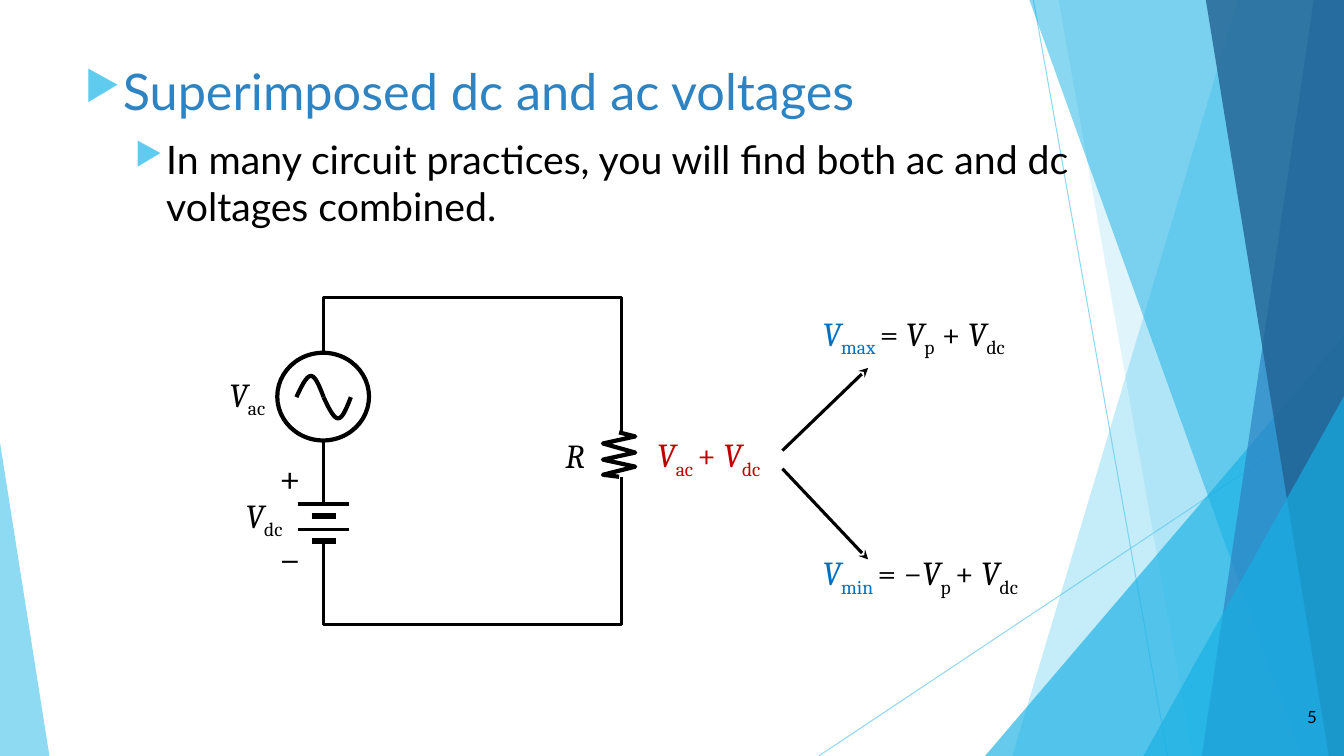
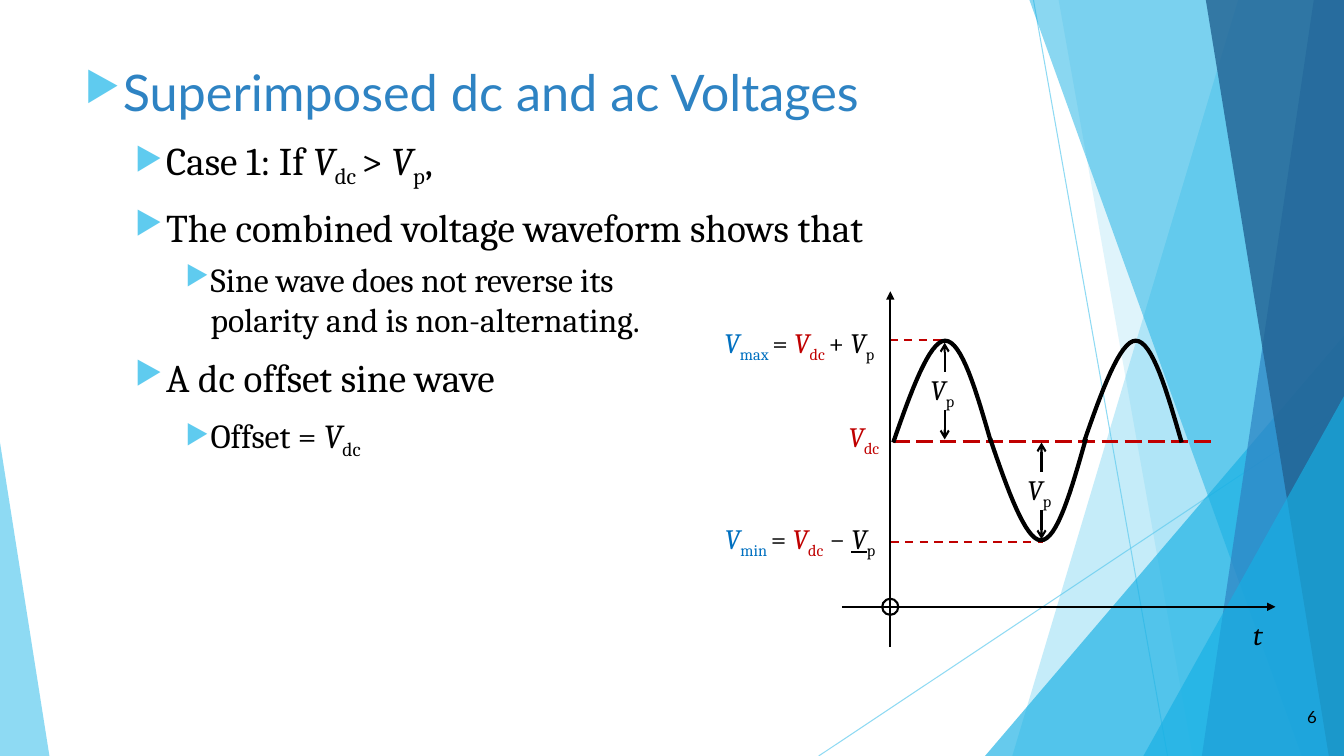
from dataclasses import dataclass

from lxml.etree import SubElement
from pptx import Presentation
from pptx.dml.color import RGBColor
from pptx.enum.dml import MSO_LINE
from pptx.enum.shapes import MSO_CONNECTOR, MSO_SHAPE
from pptx.enum.text import MSO_ANCHOR, PP_ALIGN
from pptx.oxml.ns import qn
from pptx.util import Pt

SCALE = 9144  # EMU in one px: 100 px to the inch
WIDTH, HEIGHT = 1333, 750


@dataclass(frozen=True)
class Theme:
    ink: str = "000000"
    paper: str = "FFFFFF"
    title: str = "2E83C3"
    sky: str = "5FCBEF"
    cyan: str = "17B0E4"
    navy: str = "226292"
    red: str = "C00000"
    blue: str = "0070C0"
    sans: str = "Lato"
    serif: str = "Cambria"
    title_size: int = 36
    body_size: int = 28
    detail_size: int = 24
    graph_size: int = 20
    number_size: int = 12
    thin: float = 0.75
    axis: float = 1.5
    wire: float = 2.25
    bold: float = 3
    plate: float = 4.5


THEME = Theme()
# Left indent and hanging bullet width for each outline level
INDENTS = ((38, 38), (81, 31), (125, 25))
# Control points of a half wave, as fractions of its width and height
HALF_WAVE = ((0, 0), (0.18, 0.5), (0.37, 1), (0.53, 1), (0.7, 1), (0.85, 0.5), (1, 0))


@dataclass(frozen=True)
class Span:
    text: str
    color: str = THEME.ink
    italic: bool = False
    sub: bool = False
    underline: bool = False


@dataclass(frozen=True)
class Para:
    spans: list
    size: int
    font: str = THEME.serif
    level: int = -1  # -1 means no bullet
    before: int = 0
    align: PP_ALIGN = PP_ALIGN.LEFT


def emu(px):
    return round(px * SCALE)


def rgb(color):
    return RGBColor.from_string(color)


def volt(sub, color=THEME.ink, underline=False):
    """The symbol V with a subscript."""
    return [Span("V", color, italic=True, underline=underline),
            Span(sub, color, sub=True)]


def set_alpha(shape, percent):
    color = next(shape._element.spPr.iter(qn("a:srgbClr")))
    SubElement(color, qn("a:alpha")).set("val", str(percent * 1000))


def add_bullet(para, level):
    left, hang = INDENTS[level]
    props = para._p.get_or_add_pPr()
    props.set("marL", str(emu(left)))
    props.set("indent", str(-emu(hang)))
    tint = SubElement(props, qn("a:buClr"))
    SubElement(tint, qn("a:srgbClr")).set("val", THEME.sky)
    SubElement(props, qn("a:buSzPct")).set("val", "80000")
    SubElement(props, qn("a:buChar")).set("char", "▶")


def half_wave(left, base, width, rise):
    """Points along a half wave that starts and ends on its base line."""
    knots = [(left + x * width, base - y * rise) for x, y in HALF_WAVE]
    points = [knots[0]]
    for start in (0, 3):
        for step in range(1, 17):
            t = step / 16
            weights = ((1 - t) ** 3, 3 * t * (1 - t) ** 2, 3 * t * t * (1 - t), t ** 3)
            curve = knots[start:start + 4]
            points.append(tuple(sum(w * knot[axis] for w, knot in zip(weights, curve))
                                for axis in (0, 1)))
    return points


@dataclass(frozen=True)
class Region:
    """A box on a page; all lengths are px from its top left corner."""
    page: object
    left: int
    top: int
    width: int
    height: int

    def place(self, x, y):
        return emu(self.left + x), emu(self.top + y)

    def paint(self, shape, fill, line, width):
        shape.shadow.inherit = False
        if fill:
            shape.fill.solid()
            shape.fill.fore_color.rgb = rgb(fill)
        else:
            shape.fill.background()
        if line:
            shape.line.color.rgb = rgb(line)
            shape.line.width = Pt(width)
        else:
            shape.line.fill.background()
        return shape

    def preset(self, kind, x, y, width, height, fill=None, line=None, weight=1):
        shape = self.page.shapes.add_shape(
            kind, *self.place(x, y), emu(width), emu(height))
        return self.paint(shape, fill, line, weight)

    def outline(self, points, fill=None, line=None, weight=1, close=False):
        first, *rest = [self.place(x, y) for x, y in points]
        builder = self.page.shapes.build_freeform(*first, scale=1.0)
        builder.add_line_segments(rest, close=close)
        return self.paint(builder.convert_to_shape(), fill, line, weight)

    def line(self, start, end, weight, color=THEME.ink, dash=None, head=None):
        connector = self.page.shapes.add_connector(
            MSO_CONNECTOR.STRAIGHT, *self.place(*start), *self.place(*end))
        SubElement(connector._element.spPr, qn("a:effectLst"))
        connector.line.color.rgb = rgb(color)
        connector.line.width = Pt(weight)
        if dash:
            connector.line.dash_style = dash
        if head:
            SubElement(connector.line._get_or_add_ln(), qn("a:tailEnd")).set("type", head)
        return connector

    def text(self, paras, x, y, width, height, wrap=True, anchor=MSO_ANCHOR.TOP):
        box = self.page.shapes.add_textbox(*self.place(x, y), emu(width), emu(height))
        frame = box.text_frame
        frame.word_wrap = wrap
        frame.vertical_anchor = anchor
        for index, item in enumerate(paras):
            para = frame.add_paragraph() if index else frame.paragraphs[0]
            if item.level >= 0:
                add_bullet(para, item.level)
            para.alignment = item.align
            para.space_before = Pt(item.before if index else 0)
            for part in item.spans:
                span = para.add_run()
                span.text = part.text
                span.font.name = item.font
                span.font.size = Pt(item.size)
                span.font.color.rgb = rgb(part.color)
                span.font.italic = part.italic
                if part.underline:
                    span.font.underline = True
                if part.sub:
                    span._r.get_or_add_rPr().set("baseline", "-25000")


def backdrop(area):
    """Slanted translucent bands shared by all slides."""
    right, bottom = area.width, area.height

    def band(top_x, bottom_x, color, alpha):
        points = [(top_x, 0), (right, 0), (right, bottom), (bottom_x, bottom)]
        set_alpha(area.outline(points, color, close=True), alpha)

    def wedge(x, y, width, apex, color, alpha):
        shape = area.preset(MSO_SHAPE.ISOSCELES_TRIANGLE, x, y, width, bottom - y, color)
        shape.adjustments[0] = apex
        set_alpha(shape, alpha)

    for start, end in (((1025, 0), (1158, bottom)), ((right, 403), (812, bottom))):
        set_alpha(area.line(start, end, THEME.thin, THEME.sky), 70)
    band(1228, 1004, THEME.sky, 36)
    band(1050, 1183, THEME.sky, 20)
    wedge(977, 333, 356, 1, THEME.cyan, 66)
    band(1021, 1291, THEME.cyan, 50)
    band(1303, 1192, THEME.title, 70)
    band(1196, 1318, THEME.navy, 80)
    wedge(1134, 393, 199, 1, THEME.cyan, 66)
    wedge(0, 439, 49, 0, THEME.sky, 70)


def bullet(spans, level=1, size=THEME.body_size, font=THEME.serif):
    return Para(spans, size, font, level, before=10)


def outline_text(area, paras):
    area.text(paras, 0, 0, area.width, area.height)


def new_page(deck, number, title, points, body_box):
    page = deck.slides.add_slide(deck.slide_layouts[6])
    page.background.fill.solid()
    page.background.fill.fore_color.rgb = rgb(THEME.paper)
    whole = Region(page, 0, 0, WIDTH, HEIGHT)
    backdrop(whole)
    heading = bullet([Span(title, THEME.title)], 0, THEME.title_size, THEME.sans)
    outline_text(Region(page, *body_box), [heading, *points])
    label = Para([Span(str(number))], THEME.number_size, THEME.sans, align=PP_ALIGN.RIGHT)
    whole.text([label], 1241, 691, 75, 40, anchor=MSO_ANCHOR.MIDDLE)
    return page


def circuit(area):
    ink, size = THEME.ink, THEME.detail_size
    stem, load = 121, 416
    # Wires
    area.outline([(stem, 57), (stem, 0), (load, 0), (load, 133)],
                 line=ink, weight=THEME.wire)
    area.outline([(stem, 244), (stem, area.height), (load, area.height), (load, 178)],
                 line=ink, weight=THEME.wire)
    area.line((stem, 204), (stem, 142), THEME.wire)
    # Resistor
    zigzag = [(load + 14 if index % 2 == 0 else load - 18, y)
              for index, y in enumerate((138, 145, 154, 161, 168, 176))]
    area.outline([(load - 2, 134), *zigzag, (load - 2, 178)],
                 line=ink, weight=THEME.bold)
    # Alternating source
    area.preset(MSO_SHAPE.OVAL, 75, 55, 91, 87, line=ink, weight=THEME.bold)
    for x, rise in ((stem - 27, 21), (stem, -21)):
        area.outline(half_wave(x, 99, 27, rise), line=ink, weight=THEME.bold)
    # Battery plates
    for index in range(4):
        y = 205 + round(index * 37 / 3)
        half, weight = ((25, THEME.wire), (12, THEME.plate))[index % 2]
        area.line((stem - half, y), (stem + half, y), weight)
    # Labels
    area.text([Para([Span("R", italic=True)], size)], 351, 132, 41, 51, wrap=False)
    for sub, x, y, width in (("ac", 7, 71, 66), ("dc", 2, 191, 88)):
        area.text([Para(volt(sub), size, align=PP_ALIGN.RIGHT)], x, y, width, 51)
    signs = [Para([Span(sign)], THEME.body_size, before=24) for sign in "+−"]
    area.text(signs, 67, 150, 42, 138, wrap=False)


def outcomes(area):
    """The combined voltage and its two extremes."""
    total = [*volt("ac ", THEME.red), Span("+ ", THEME.red), *volt("dc", THEME.red)]
    highest = [*volt("max ", THEME.blue), Span("= "), *volt("p"), Span(" + "), *volt("dc")]
    lowest = [*volt("min ", THEME.blue), Span("= −"), *volt("p "), Span("+ "), *volt("dc")]
    for spans, x, y, width in ((total, 0, 121, 217), (highest, 164, 0, 285),
                               (lowest, 164, 238, 294)):
        area.text([Para(spans, THEME.detail_size)], x, y, width, 51)
    for start_y, end_y in ((142, 60), (160, 250)):
        area.line((134, start_y), (219, end_y), THEME.wire, head="stealth")


def waveform(area):
    origin_x, origin_y = 193, 313
    size, weight = THEME.graph_size, THEME.axis
    # Level lines
    for start, end, y, dash in ((196, 511, 149, MSO_LINE.LONG_DASH),
                                (193, 344, 249, MSO_LINE.DASH),
                                (192, 249, 48, MSO_LINE.DASH)):
        area.line((start, y), (end, y), weight, THEME.red, dash)
    # Level labels
    offset = volt("dc", THEME.red)
    highest = [*volt("max ", THEME.blue), Span("= "), *volt("dc ", THEME.red),
               Span("+ "), *volt("p")]
    lowest = [*volt("min ", THEME.blue), Span("= "), *offset,
              Span(" − "), *volt("p", underline=True)]
    for spans, x, y, width in ((offset, 137, 122, 55), (highest, 0, 29, 187),
                               (lowest, 0, 223, 188)):
        area.text([Para(spans, size, align=PP_ALIGN.RIGHT)], x, y, width, 44, wrap=False)
    # Sine wave
    for x, base, width, rise in ((196, 150, 97, 101), (292, 146, 95, -101),
                                 (385, 150, 97, 101)):
        area.outline(half_wave(x, base, width, rise), line=THEME.ink, weight=THEME.bold)
    # Peak measures
    for x, top in ((247, 51), (343, 150)):
        for start, end in ((29, 0), (67, 96)):
            area.line((x, top + start), (x, top + end), weight, head="arrow")
        area.text([Para(volt("p"), size)], x - 24, top + 25, 61, 43)
    # Axes
    area.line((145, origin_y), (575, origin_y), weight, head="triangle")
    area.line((origin_x, 353), (origin_x, 0), weight, head="triangle")
    area.preset(MSO_SHAPE.OVAL, origin_x - 8, origin_y - 8, 16, 16,
                line=THEME.ink, weight=weight)
    area.text([Para([Span("t", italic=True)], size)], 543, 319, 42, 43)


def main():
    deck = Presentation()
    deck.slide_width, deck.slide_height = emu(WIDTH), emu(HEIGHT)

    intro = "In many circuit practices, you will find both ac and dc voltages combined."
    page = new_page(deck, 5, "Superimposed dc and ac voltages",
                    [bullet([Span(intro)], font=THEME.sans)], (74, 55, 1131, 179))
    circuit(Region(page, 200, 295, 435, 325))
    outcomes(Region(page, 642, 305, 458, 289))

    case = [Span("Case 1: If "), *volt("dc "), Span("> "), *volt("p"), Span(",")]
    page = new_page(deck, 6, "Superimposed dc and ac Voltages",
                    [bullet(case), bullet([Span("The combined voltage waveform shows that")])],
                    (74, 56, 1163, 195))
    waveform(Region(page, 690, 289, 585, 362))
    polarity = "Sine wave does not reverse its polarity and is non-alternating."
    outline_text(Region(page, 74, 252, 595, 213), [
        bullet([Span(polarity)], 2, THEME.detail_size),
        bullet([Span("A dc offset sine wave")]),
        bullet([Span("Offset = "), *volt("dc")], 2, THEME.detail_size)])

    deck.save("out.pptx")


if __name__ == "__main__":
    main()
